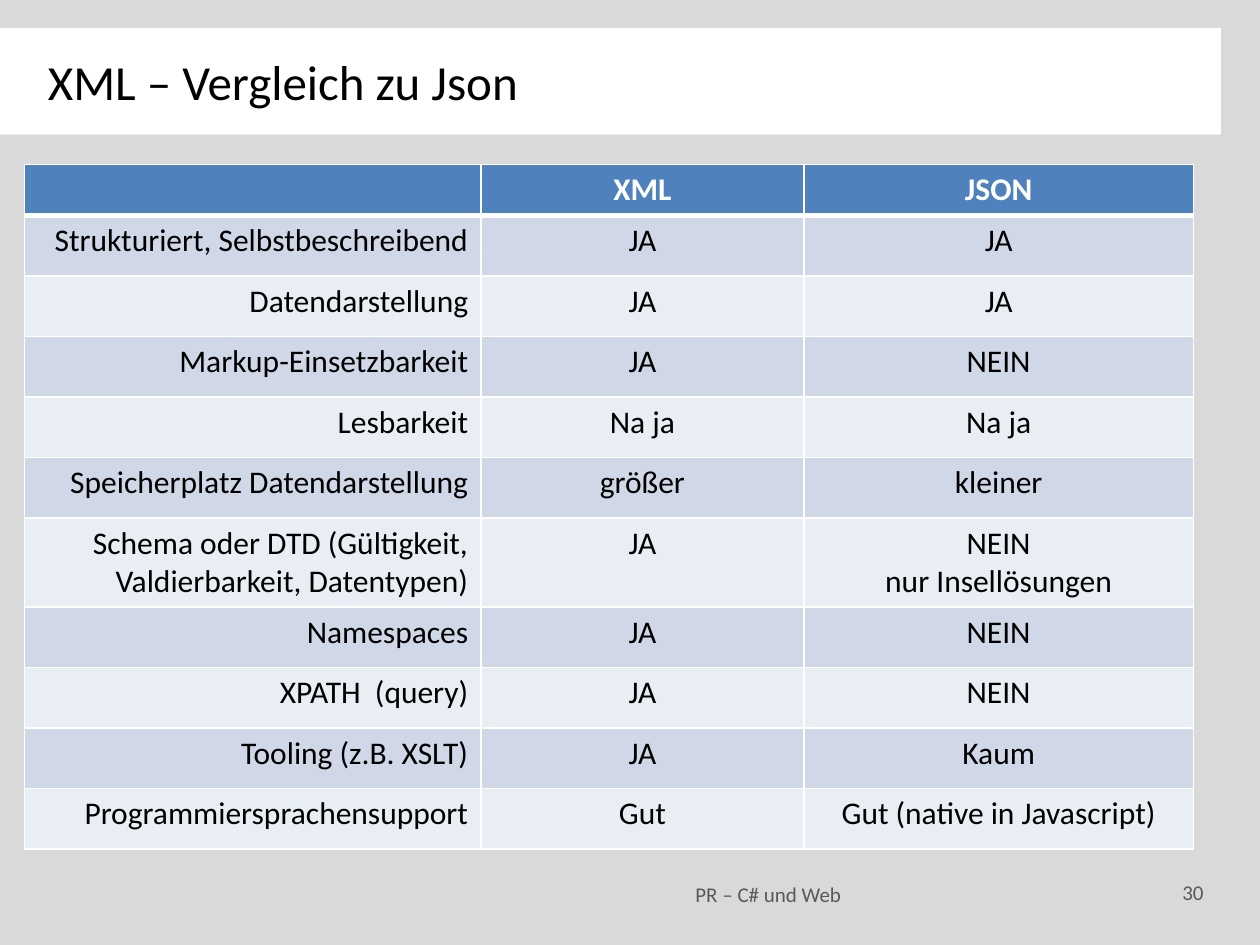
"""Build the slide that compares XML with JSON in a table."""
from dataclasses import dataclass

import lxml.etree
import pptx
import pptx.dml.color
import pptx.enum.text
import pptx.oxml.ns
import pptx.util

Pt = pptx.util.Pt
Align = pptx.enum.text.PP_ALIGN
Anchor = pptx.enum.text.MSO_ANCHOR


@dataclass(frozen=True)
class Theme:
    font: str = "Calibri"
    background: str = "D9D9D9"
    white: str = "FFFFFF"
    ink: str = "000000"
    muted: str = "595959"
    header: str = "4F81BD"
    bands: tuple[str, str] = ("E9EDF4", "D0D8E8")
    title_size: float = 28
    table_size: float = 18
    footer_size: float = 12
    rule: float = 1
    header_rule: float = 3


@dataclass(frozen=True)
class Box:
    left: float
    top: float
    width: float
    height: float

    def lengths(self) -> tuple:
        return Pt(self.left), Pt(self.top), Pt(self.width), Pt(self.height)


@dataclass(frozen=True)
class Criterion:
    label: str
    xml: str
    json: str
    height: float = 34.6


@dataclass(frozen=True)
class FooterPart:
    text: str
    box: Box
    align: Align


THEME = Theme()
TITLE_BOX = Box(-1.4, 16, 699, 61)
TABLE_BOX = Box(14, 94, 668, 391.4)
COLUMN_WIDTHS = (260.8, 184.6, 222.6)
COLUMN_ALIGNS = (Align.RIGHT, Align.CENTER, Align.CENTER)
CRITERIA = (
    Criterion("", "XML", "JSON", 29),
    Criterion("Strukturiert, Selbstbeschreibend", "JA", "JA"),
    Criterion("Datendarstellung", "JA", "JA"),
    Criterion("Markup-Einsetzbarkeit", "JA", "NEIN"),
    Criterion("Lesbarkeit", "Na ja", "Na ja"),
    Criterion("Speicherplatz Datendarstellung", "größer", "kleiner"),
    Criterion("Schema oder DTD (Gültigkeit, Valdierbarkeit, Datentypen)",
              "JA", "NEIN\nnur Insellösungen", 51),
    Criterion("Namespaces", "JA", "NEIN"),
    Criterion("XPATH  (query)", "JA", "NEIN"),
    Criterion("Tooling (z.B. XSLT)", "JA", "Kaum"),
    Criterion("Programmiersprachensupport", "Gut", "Gut (native in Javascript)"),
)
FOOTER = (
    FooterPart("PR – C# und Web", Box(314.6, 496.8, 249, 28.8), Align.CENTER),
    FooterPart("30", Box(652.3, 495.4, 42.5, 28.8), Align.RIGHT),
)


def rgb(value: str) -> pptx.dml.color.RGBColor:
    return pptx.dml.color.RGBColor.from_string(value)


def write(frame, text: str, size: float, color: str, align: Align, bold: bool = False) -> None:
    paragraph = frame.paragraphs[0]
    paragraph.alignment = align
    for index, line in enumerate(text.split("\n")):
        if index:
            paragraph.add_line_break()
        run = paragraph.add_run()
        run.text = line
        run.font.name = THEME.font
        run.font.size = Pt(size)
        run.font.bold = bold
        run.font.color.rgb = rgb(color)


def add_border(cell, side: str, width: float) -> None:
    qn = pptx.oxml.ns.qn
    properties = cell._tc.get_or_add_tcPr()
    line = lxml.etree.SubElement(properties, qn(f"a:ln{side}"), w=str(int(Pt(width))))
    fill = lxml.etree.SubElement(line, qn("a:solidFill"))
    lxml.etree.SubElement(fill, qn("a:srgbClr"), val=THEME.white)


def draw_title(slide, text: str) -> None:
    title = slide.shapes.title
    title.left, title.top, title.width, title.height = TITLE_BOX.lengths()
    title.fill.solid()
    title.fill.fore_color.rgb = rgb(THEME.white)
    title.text_frame.margin_left = Pt(28.8)
    title.text_frame.vertical_anchor = Anchor.MIDDLE
    write(title.text_frame, text, THEME.title_size, THEME.ink, Align.LEFT)


def draw_cell(cell, text: str, row: int, align: Align) -> None:
    is_header = row == 0
    widths = {
        "L": THEME.rule,
        "R": THEME.rule,
        "T": THEME.header_rule if row == 1 else THEME.rule,
        "B": THEME.header_rule if is_header else THEME.rule,
    }
    for side, width in widths.items():
        add_border(cell, side, width)
    cell.fill.solid()
    cell.fill.fore_color.rgb = rgb(THEME.header if is_header else THEME.bands[row % 2])
    if text:
        color = THEME.white if is_header else THEME.ink
        write(cell.text_frame, text, THEME.table_size, color, align, bold=is_header)


def draw_comparison(slide) -> None:
    comparison = slide.shapes.add_table(
        len(CRITERIA), len(COLUMN_WIDTHS), *TABLE_BOX.lengths()).table
    comparison.horz_banding = False
    for column, width in zip(comparison.columns, COLUMN_WIDTHS):
        column.width = Pt(width)
    for row, criterion in enumerate(CRITERIA):
        comparison.rows[row].height = Pt(criterion.height)
        texts = (criterion.label, criterion.xml, criterion.json)
        for column, (text, align) in enumerate(zip(texts, COLUMN_ALIGNS)):
            draw_cell(comparison.cell(row, column), text, row, align)


def draw_footer_part(slide, part: FooterPart) -> None:
    frame = slide.shapes.add_textbox(*part.box.lengths()).text_frame
    frame.word_wrap = True
    frame.vertical_anchor = Anchor.MIDDLE
    write(frame, part.text, THEME.footer_size, THEME.muted, part.align)


def main() -> None:
    deck = pptx.Presentation()
    deck.slide_width, deck.slide_height = Pt(720), Pt(540)
    slide = deck.slides.add_slide(deck.slide_layouts.get_by_name("Title Only"))
    slide.background.fill.solid()
    slide.background.fill.fore_color.rgb = rgb(THEME.background)
    draw_title(slide, "XML – Vergleich zu Json")
    for part in FOOTER:
        draw_footer_part(slide, part)
    draw_comparison(slide)
    deck.save("out.pptx")


if __name__ == "__main__":
    main()
